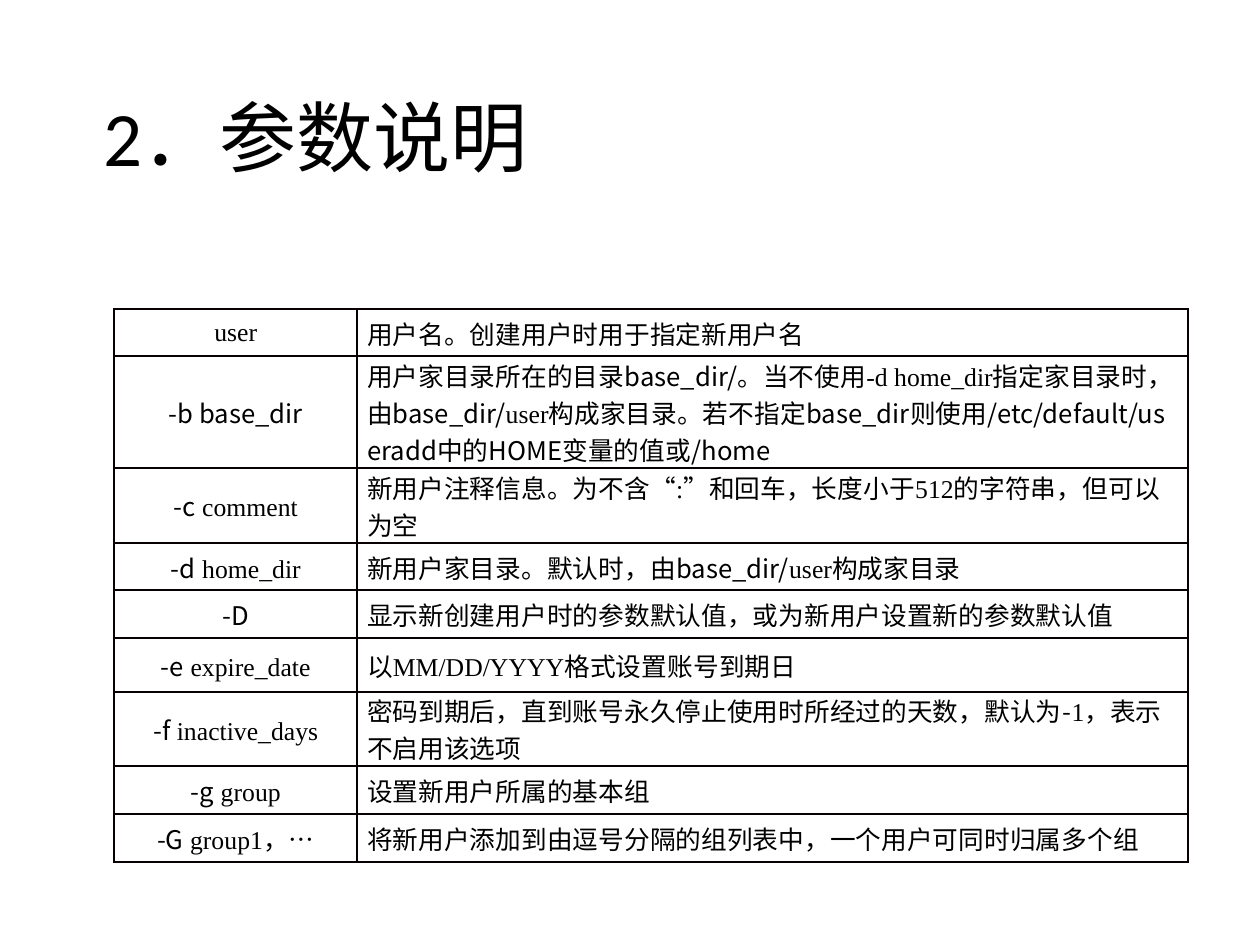
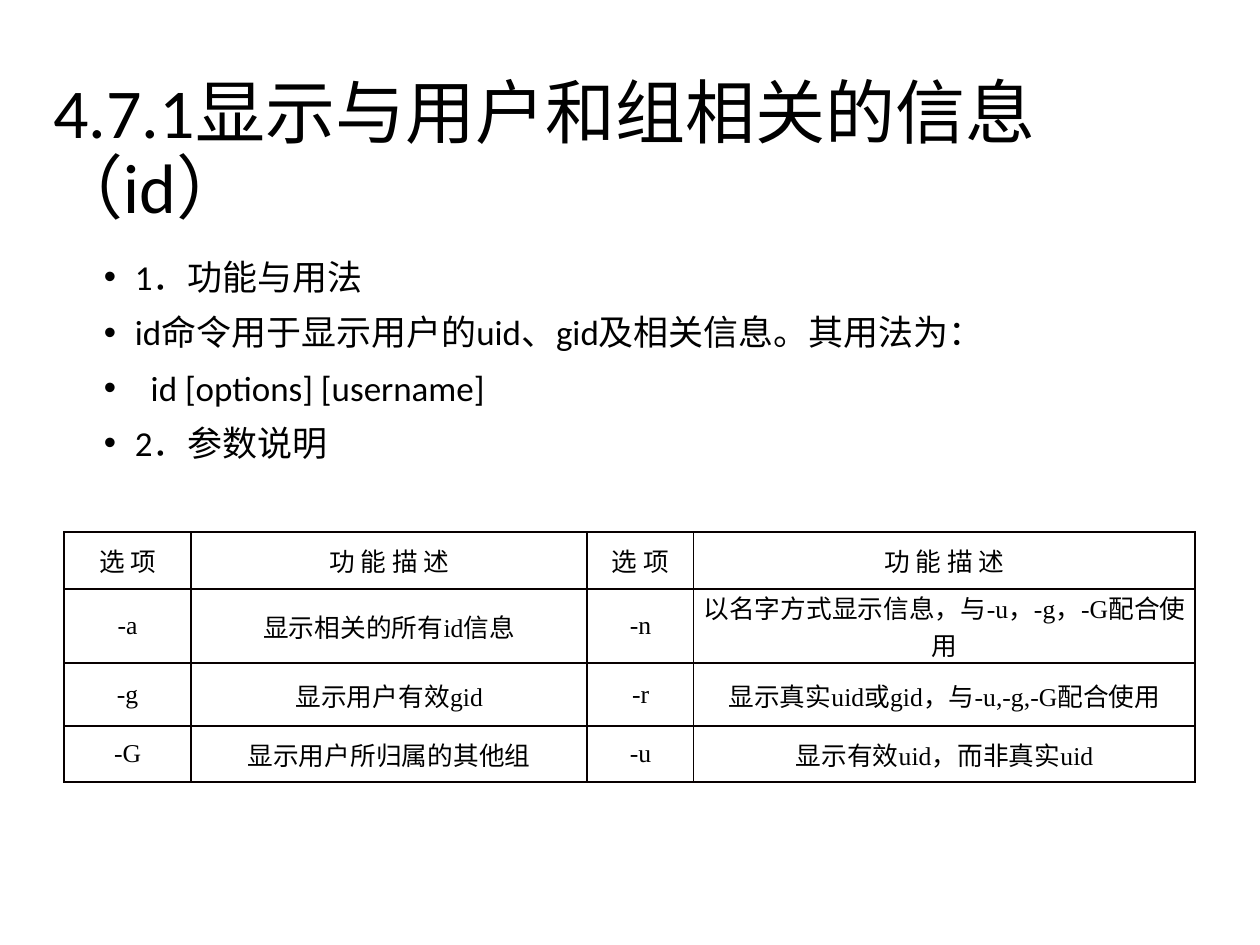
"""Build two slides on user and group command options."""
import pptx
import pptx.dml.color
import pptx.enum.shapes
import pptx.enum.text
import pptx.oxml.ns
import pptx.util
from lxml import etree

Cm = pptx.util.Cm
Pt = pptx.util.Pt
qn = pptx.oxml.ns.qn
MID = pptx.enum.text.MSO_ANCHOR.MIDDLE
SIDE = pptx.enum.text.PP_ALIGN
RECT = pptx.enum.shapes.MSO_SHAPE.RECTANGLE
HAN = "Noto Sans CJK SC"
ROMAN = "Times New Roman"
INK, EDGE, WHITE = "000000", "080000", "FFFFFF"


def color(code):
    return pptx.dml.color.RGBColor.from_string(code)


def write(para, text, size, fonts):
    """Add runs to a paragraph, taking the next font at each bar."""
    for index, part in enumerate(text.split("|")):
        if part:
            run = para.add_run()
            run.text = part
            style = {"size": Pt(size), "name": fonts[index % len(fonts)], "bold": False}
            for key, value in style.items():
                setattr(run.font, key, value)
            run.font.color.rgb = color(INK)
            east = etree.SubElement(run.font._element, qn("a:ea"))
            east.set("typeface", HAN)


deck = pptx.Presentation()
deck.slide_width, deck.slide_height = Cm(19.05), Cm(14.29)

pages = [
    {
        "title": "2．参数说明", "size": 33, "box": (1.32, 0.76, 16.43, 2.77),
        "body": [],
        "at": (1.73, 4.67), "pad": 0.15, "fonts": (HAN, ROMAN),
        "cols": (3.67, 12.56), "left": 1, "thin": None,
        "rows": (0.72, 1.69, 1.13, 0.72, 0.72, 0.81, 1.13, 0.72, 0.72),
        "cells": [
            ("|user", "用户名。创建用户时用于指定新用户名"),
            ("-b base_dir", "用户家目录所在的目录base_dir/。当不使用|-d home_dir|指定家目录时，由base_dir/|user|构成家目录。若不指定base_dir则使用/etc/default/useradd中的HOME变量的值或/home"),
            ("-c| comment", "新用户注释信息。为不含“|:|”和回车，长度小于|512的字符串|，但可以为空"),
            ("-d| home_dir", "新用户家目录。默认时，由base_dir/|user|构成家目录"),
            ("-D", "显示新创建用户时的参数默认值，或为新用户设置新的参数默认值"),
            ("-e| expire_date", "|以MM/DD/YYYY格式设置|账|号到期日"),
            ("-f| inactive_days", "密码到期后，直到账号永久停止使用时所经过的天数，默认为-|1，表示不启用该选项"),
            ("-g| group", "设置新用户所属的基本组"),
            ("-G| group1，…", "将新用户添加到由逗号分隔的组列表中，一个用户可同时归属多个组"),
        ],
    },
    {
        "title": "4.7.1显示与用户和组相关的信息（id）", "size": 30, "box": (0.56, 1.42, 17.93, 1.8),
        "body": [
            ("1．功能与用法", 0.47),
            ("id命令用于显示用户的uid、gid及相关信息。其用法为：", 0.47),
            ("id [options] [username]", 0.71),
            ("2．参数说明", 0.47),
        ],
        "at": (0.97, 8.05), "pad": 0, "fonts": (ROMAN,),
        "cols": (1.92, 5.99, 1.61, 7.58), "left": None, "thin": 3,
        "rows": (0.85, 1.13, 0.95, 0.85),
        "cells": [
            ("选 项", "功 能 描 述", "选 项", "功 能 描 述"),
            ("-a", "显示相关的所有id信息", "-n", "以名字方式显示信息，与-u，-g，-G配合使用"),
            ("-g", "显示用户有效gid", "-r", "显示真实uid或gid，与-u,-g,-G配合使用"),
            ("-G", "显示用户所归属的其他组", "-u", "显示有效uid，而非真实uid"),
        ],
    },
]

for page in pages:
    slide = deck.slides.add_slide(deck.slide_layouts[6])

    panel = slide.shapes.add_shape(RECT, Cm(12.22), Cm(12.7), Cm(6.15), Cm(1.59))
    panel.shadow.inherit = False
    panel.fill.solid()
    panel.fill.fore_color.rgb = panel.line.color.rgb = color(WHITE)
    panel.line.width = Pt(1)

    frame = slide.shapes.add_textbox(*map(Cm, page["box"])).text_frame
    frame.word_wrap, frame.vertical_anchor = True, MID
    frame.paragraphs[0].line_spacing = 0.9
    write(frame.paragraphs[0], page["title"], page["size"], ("Calibri",))

    if page["body"]:
        frame = slide.shapes.add_textbox(Cm(1.32), Cm(3.81), Cm(16.43), Cm(9.07)).text_frame
        frame.word_wrap = True
    for index, (text, indent) in enumerate(page["body"]):
        para = frame.add_paragraph() if index else frame.paragraphs[0]
        para.line_spacing, para.space_before = 0.9, Pt(7.5)
        props = para._p.get_or_add_pPr()
        props.set("marL", str(Cm(indent)))
        props.set("indent", str(-Cm(indent)))
        etree.SubElement(props, qn("a:buFont")).set("typeface", "Arial")
        etree.SubElement(props, qn("a:buChar")).set("char", "•")
        write(para, text, 15, ("Calibri",))

    cols, rows = page["cols"], page["rows"]
    table = slide.shapes.add_table(
        len(rows), len(cols), *map(Cm, page["at"]), Cm(sum(cols)), Cm(sum(rows))).table
    table.first_row = table.horz_banding = False
    for col, width in zip(table.columns, cols):
        col.width = Cm(width)
    for row, height in zip(table.rows, rows):
        row.height = Cm(height)
    for row, texts in zip(table.rows, page["cells"]):
        for index, (cell, text) in enumerate(zip(row.cells, texts)):
            look = {
                "margin_left": Cm(page["pad"]), "margin_right": Cm(page["pad"]),
                "margin_top": 0, "margin_bottom": 0, "vertical_anchor": MID,
            }
            for key, value in look.items():
                setattr(cell, key, value)
            para = cell.text_frame.paragraphs[0]
            para.alignment = SIDE.LEFT if index == page["left"] else SIDE.CENTER
            para._p.get_or_add_pPr().set("hangingPunct", "1")
            write(para, text, 11, page["fonts"])
            props = cell._tc.get_or_add_tcPr()
            for side, seam in {"L": index, "R": index + 1, "T": None, "B": None}.items():
                thin = seam is not None and seam == page["thin"]
                line = etree.SubElement(props, qn("a:ln" + side), w=str(Pt(0.5 if thin else 1)))
                fill = etree.SubElement(line, qn("a:solidFill"))
                etree.SubElement(fill, qn("a:srgbClr"), val=EDGE)
            cell.fill.background()

deck.save("out.pptx")
